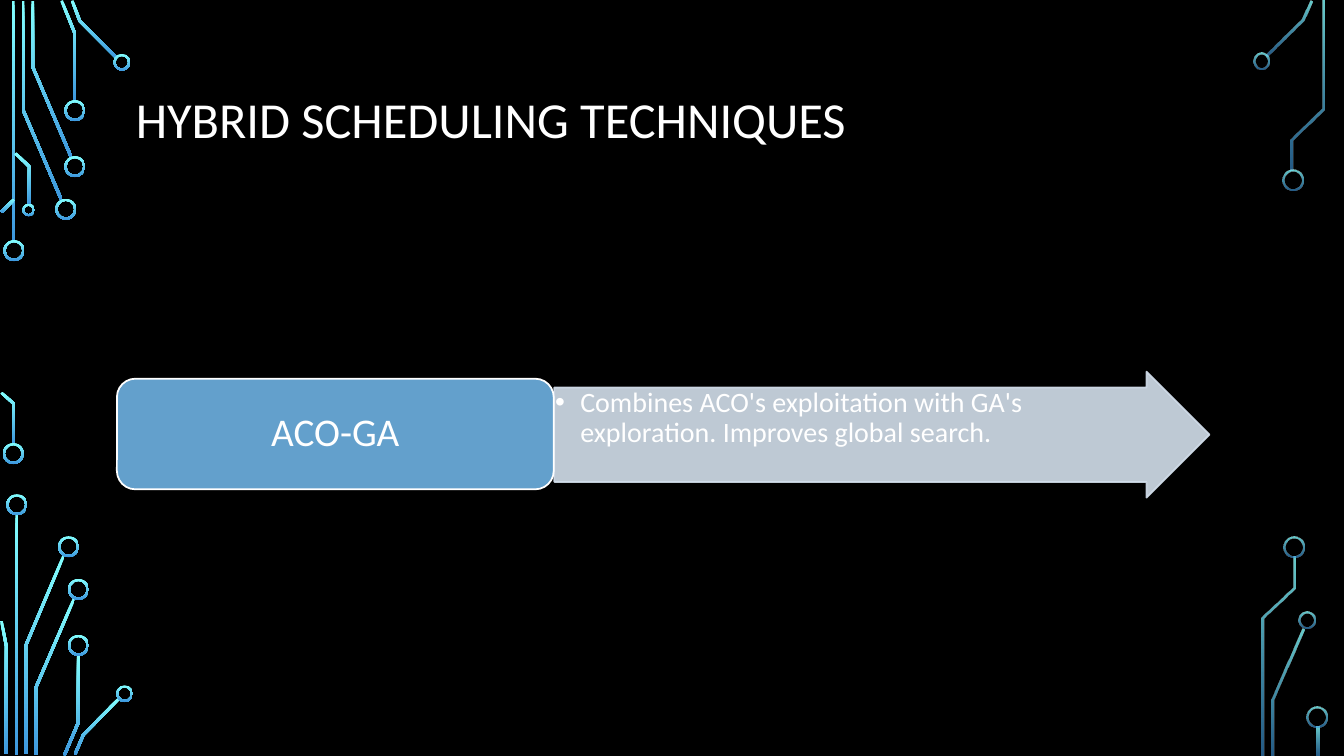
"""Build a slide on hybrid scheduling techniques, framed by circuit traces."""
from dataclasses import dataclass, field
from math import hypot
from typing import Any

from lxml.etree import SubElement
from pptx import Presentation
from pptx.dml.color import RGBColor
from pptx.enum.shapes import MSO_SHAPE
from pptx.enum.text import MSO_ANCHOR, PP_ALIGN
from pptx.oxml.ns import qn
from pptx.util import Emu, Pt

EMU_PER_PX = 6350
TRACE_WIDTH = 4
RING_WIDTH = 3
FONT = "Calibri"
COLOURS = {
    "background": "000000",
    "text": "FFFFFF",
    "trace_top": "82FFFF",
    "trace_bottom": "3D97DE",
    "arrow": "D3DFEC",
    "method": "63A0CC",
}
SOLID = (100, 100)
FADED = (80, 60)
Point = tuple[float, float]


@dataclass(frozen=True)
class Trace:
    points: tuple[Point, ...]
    opacity: tuple[int, int] = SOLID


@dataclass(frozen=True)
class Ring:
    x: int
    y: int
    size: int = 30
    opacity: tuple[int, int] = SOLID


@dataclass(frozen=True)
class Label:
    text: str
    size: int
    area: tuple[int, int, int, int]
    insets: tuple[int, int, int, int]
    preset: Any = None
    fill: str = ""
    line: str = ""
    opacity: int = 100
    adjustments: tuple[float, ...] = ()
    bullet_indent: int = 0
    frame_format: dict[str, Any] = field(default_factory=dict)
    para_format: dict[str, Any] = field(default_factory=dict)


TRACES = [
    Trace(((19, 1), (19, 346))),
    Trace(((33, 1), (33, 157), (88, 286))),
    Trace(((47, 1), (47, 96), (102, 225))),
    Trace(((88, 1), (107, 48), (107, 144))),
    Trace(((103, 1), (114, 30), (166, 82))),
    Trace(((20, 285), (2, 303))),
    Trace(((2, 561), (20, 577), (20, 635))),
    Trace(((22, 219), (42, 238), (42, 292))),
    Trace(((24, 734), (24, 1079))),
    Trace(((37, 1077), (37, 922), (91, 794))),
    Trace(((9, 1077), (9, 923), (2, 887))),
    Trace(((51, 1079), (51, 983), (106, 855))),
    Trace(((92, 1079), (112, 1032), (112, 936))),
    Trace(((107, 1078), (119, 1050), (170, 998))),
    Trace(((1873, 1), (1861, 28), (1810, 80)), FADED),
    Trace(((1818, 1079), (1818, 999), (1862, 898)), FADED),
    Trace(((1846, 243), (1846, 199), (1890, 155), (1890, 1)), FADED),
    Trace(((1804, 1079), (1804, 883), (1848, 840), (1848, 795)), FADED),
    Trace(((1883, 1038), (1883, 1079)), FADED),
]
RINGS = [
    Ring(20, 358), Ring(19, 648), Ring(94, 299), Ring(107, 238), Ring(107, 158),
    Ring(174, 89, 24), Ring(41, 300, 18),
    Ring(24, 721), Ring(98, 781), Ring(112, 842), Ring(112, 922), Ring(178, 991, 24),
    Ring(1802, 87, 24, FADED), Ring(1847, 257, 30, FADED), Ring(1867, 886, 24, FADED),
    Ring(1848, 781, 30, FADED), Ring(1881, 1025, 30, FADED),
]
LABELS = [
    Label("HYBRID SCHEDULING TECHNIQUES", 36, (180, 98, 1560, 233), (14, 7, 14, 86),
          frame_format={"vertical_anchor": MSO_ANCHOR.MIDDLE},
          para_format={"alignment": PP_ALIGN.LEFT}),
    Label("Combines ACO's exploitation with GA's exploration. Improves global search.",
          20, (792, 531, 936, 180), (1, 1, 1, 1), MSO_SHAPE.RIGHT_ARROW,
          "arrow", "arrow", 90, (0.75, 0.5), 36,
          frame_format={"vertical_anchor": MSO_ANCHOR.TOP},
          para_format={"alignment": PP_ALIGN.LEFT, "level": 1}),
    Label("ACO-GA", 28, (167, 541, 624, 158), (17, 9, 17, 9),
          MSO_SHAPE.ROUNDED_RECTANGLE, "method", "text",
          frame_format={"vertical_anchor": MSO_ANCHOR.MIDDLE},
          para_format={"alignment": PP_ALIGN.CENTER}),
]


def px(length: float) -> Emu:
    """Turn px into EMU."""
    return Emu(round(length * EMU_PER_PX))


def colour(name: str) -> RGBColor:
    """Look up a named colour."""
    return RGBColor.from_string(COLOURS[name])


def apply_format(target: Any, values: dict[str, Any]) -> None:
    """Set each named attribute on the target."""
    for name, value in values.items():
        setattr(target, name, value)


def set_opacity(element: Any, percents: tuple[int, ...]) -> None:
    """Give the colours inside an element their opacity, in order."""
    for tint, percent in zip(element.iter(qn("a:srgbClr")), percents):
        if percent < 100:
            SubElement(tint, qn("a:alpha"), val=str(percent * 1000))


def paint_gradient(shape: Any, opacity: tuple[int, int]) -> None:
    """Fill a circuit part from light at the top to blue at the bottom."""
    shape.shadow.inherit = False
    shape.line.fill.background()
    shape.fill.gradient()
    shape.fill.gradient_angle = 270
    for stop, name in zip(shape.fill.gradient_stops, ("trace_top", "trace_bottom")):
        stop.color.rgb = colour(name)
    set_opacity(shape.element.spPr, opacity)


def trace_outline(points: tuple[Point, ...]) -> list[Point]:
    """Widen a centre line into a mitred outline."""
    normals = []
    for (x1, y1), (x2, y2) in zip(points, points[1:]):
        length = hypot(x2 - x1, y2 - y1)
        normals.append(((y1 - y2) / length, (x2 - x1) / length))
    left, right = [], []
    for (x, y), (ax, ay), (bx, by) in zip(points, normals[:1] + normals, normals + normals[-1:]):
        reach = TRACE_WIDTH / 2 / (1 + ax * bx + ay * by)
        dx, dy = (ax + bx) * reach, (ay + by) * reach
        left.append((x + dx, y + dy))
        right.append((x - dx, y - dy))
    return left + right[::-1]


def draw_trace(page: Any, trace: Trace) -> None:
    """Draw one circuit trace."""
    start, *others = [(px(x), px(y)) for x, y in trace_outline(trace.points)]
    builder = page.shapes.build_freeform(*start)
    builder.add_line_segments(others, close=True)
    paint_gradient(builder.convert_to_shape(), trace.opacity)


def draw_ring(page: Any, ring: Ring) -> None:
    """Draw one circuit terminal around its centre."""
    area = (ring.x - ring.size / 2, ring.y - ring.size / 2, ring.size, ring.size)
    shape = page.shapes.add_shape(MSO_SHAPE.DONUT, *map(px, area))
    shape.adjustments[0] = RING_WIDTH / ring.size
    paint_gradient(shape, ring.opacity)


def draw_label(page: Any, label: Label) -> None:
    """Draw a text box or a filled shape with its text."""
    area = map(px, label.area)
    if label.preset is None:
        box = page.shapes.add_textbox(*area)
    else:
        box = page.shapes.add_shape(label.preset, *area)
        box.shadow.inherit = False
        for index, value in enumerate(label.adjustments):
            box.adjustments[index] = value
        box.fill.solid()
        box.fill.fore_color.rgb = colour(label.fill)
        box.line.color.rgb = colour(label.line)
        box.line.width = Pt(1.25)
        set_opacity(box.element.spPr, (label.opacity, label.opacity))
    sides = ("margin_left", "margin_top", "margin_right", "margin_bottom")
    margins = dict(zip(sides, map(px, label.insets)))
    apply_format(box.text_frame, {"word_wrap": True, **margins, **label.frame_format})
    para = box.text_frame.paragraphs[0]
    apply_format(para, {"line_spacing": 0.9, **label.para_format})
    if label.bullet_indent:
        properties = para._p.get_or_add_pPr()
        properties.set("marL", str(px(label.bullet_indent)))
        properties.set("indent", str(px(-label.bullet_indent)))
        SubElement(properties, qn("a:buFont"), typeface="Arial")
        SubElement(properties, qn("a:buChar"), char="•")
    span = para.add_run()
    span.text = label.text
    apply_format(span.font, {"name": FONT, "size": Pt(label.size)})
    span.font.color.rgb = colour("text")


def main() -> None:
    """Build and save the deck."""
    deck = Presentation()
    apply_format(deck, {"slide_width": px(1920), "slide_height": px(1080)})
    page = deck.slides.add_slide(deck.slide_layouts[6])
    page.background.fill.solid()
    page.background.fill.fore_color.rgb = colour("background")
    for items, draw in ((TRACES, draw_trace), (RINGS, draw_ring), (LABELS, draw_label)):
        for item in items:
            draw(page, item)
    deck.save("out.pptx")


if __name__ == "__main__":
    main()
